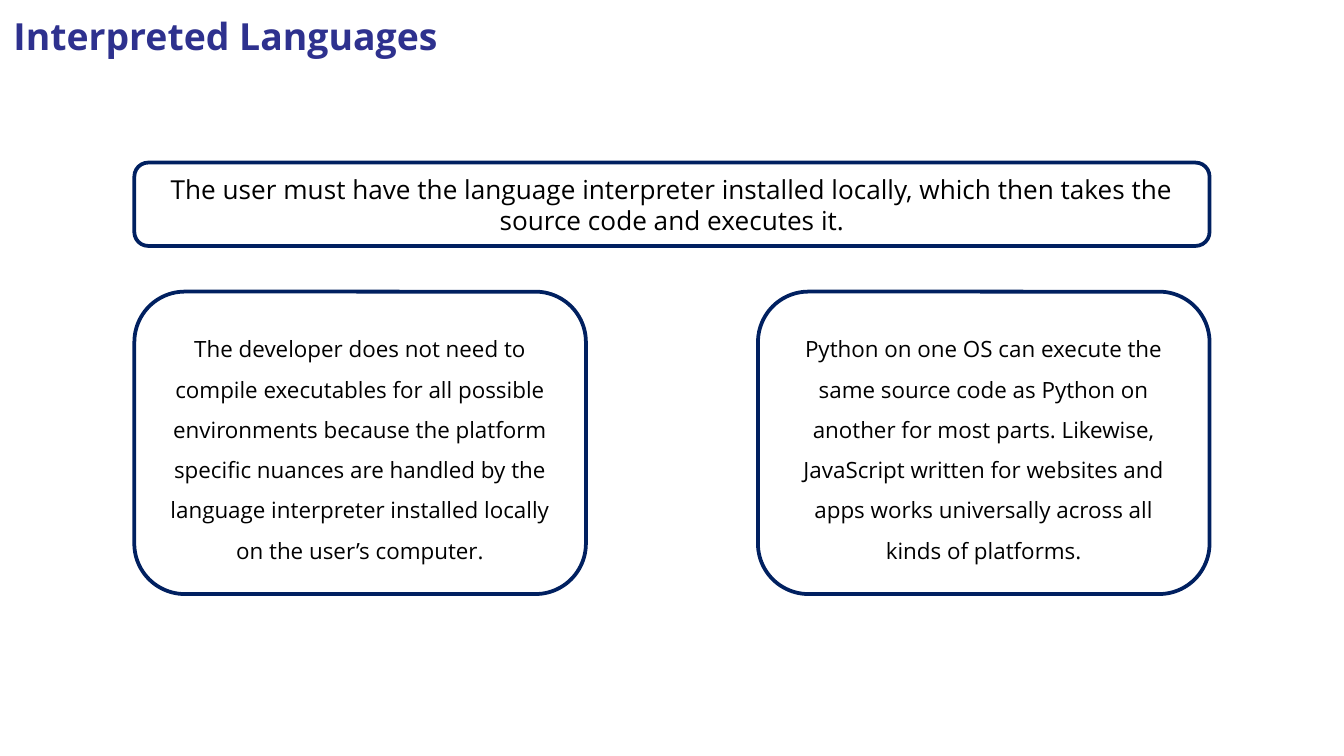
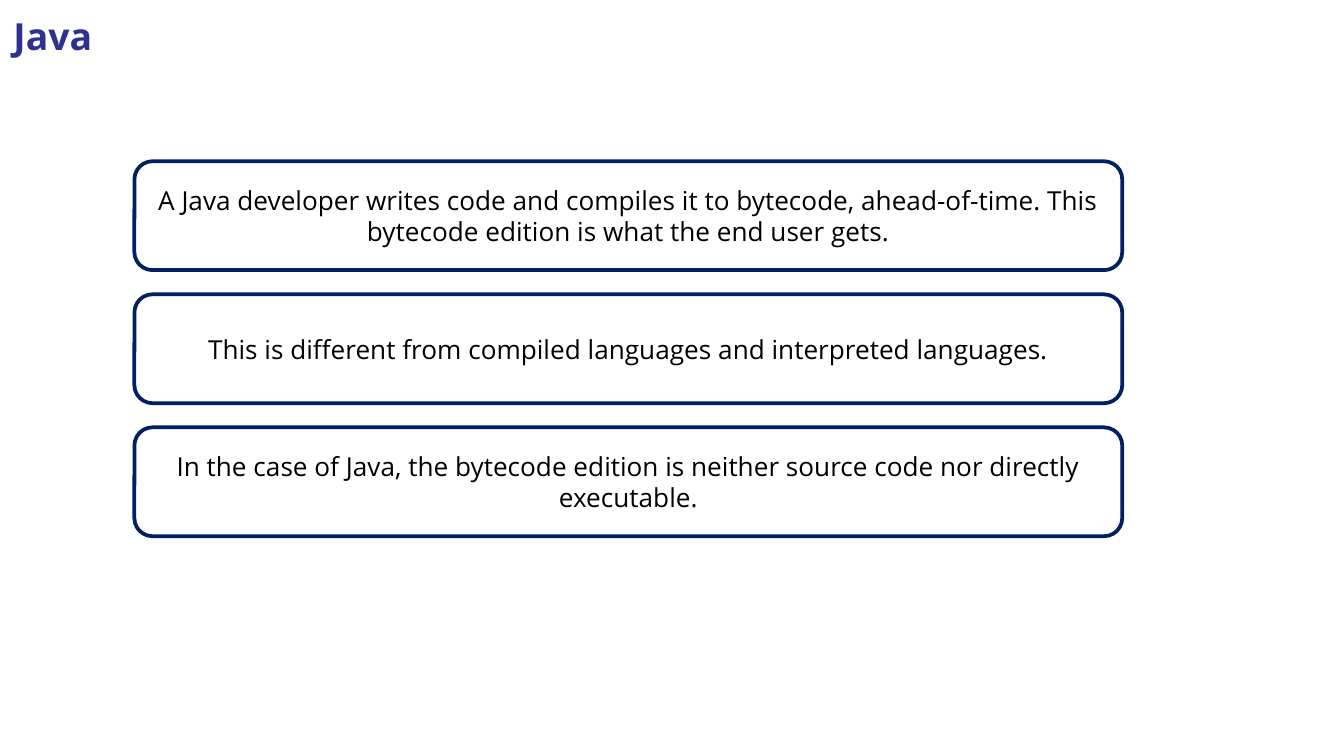
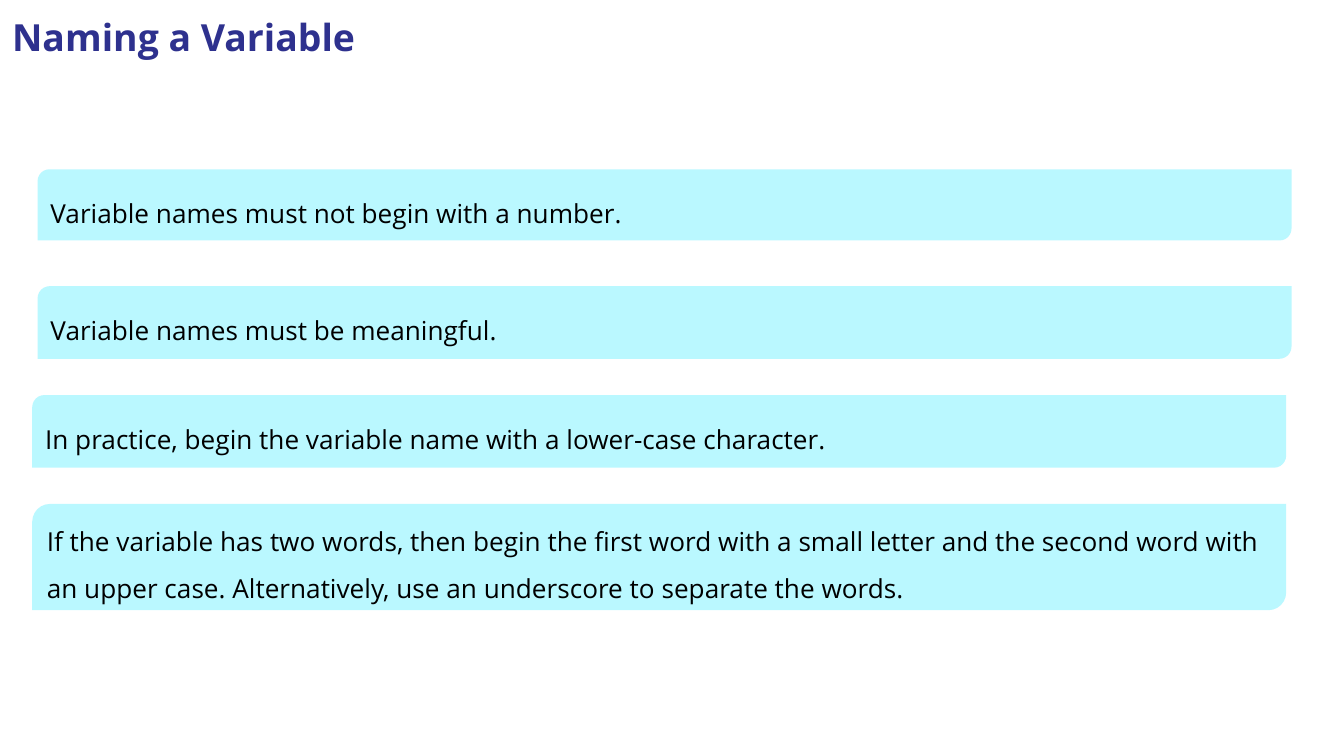
from pptx import Presentation
from pptx.dml.color import RGBColor
from pptx.enum.shapes import MSO_SHAPE
from pptx.enum.text import MSO_ANCHOR, MSO_AUTO_SIZE, PP_ALIGN
from pptx.util import Inches, Pt

FONT = "Open Sans"
TITLE_COLOUR = "2E318E"
OUTLINE = "002060"
BAND_FILL = "BAF8FF"
BLACK = "000000"
TITLE_ONLY = 5

INTERPRETER_RULE = (
    "The user must have the language interpreter installed locally, "
    "which then takes the source code and executes it."
)
INTERPRETER_BENEFITS = [
    "The developer does not need to compile executables for all possible environments "
    "because the platform specific nuances are handled by the language interpreter "
    "installed locally on the user’s computer.",
    "Python on one OS can execute the same source code as Python on another for most parts. "
    "Likewise, JavaScript written for websites and apps works universally across all kinds "
    "of platforms.",
]
JAVA_FACTS = [
    "A Java developer writes code and compiles it to bytecode, ahead-of-time. "
    "This bytecode edition is what the end user gets.",
    "This is different from compiled languages and interpreted languages.",
    "In the case of Java, the bytecode edition is neither source code nor directly executable.",
]
# Text with the left, top and height of its band
NAMING_RULES = [
    ("Variable names must not begin with a number.", 0.28, 1.26, 0.53),
    ("Variable names must be meaningful.", 0.28, 2.13, 0.54),
    ("In practice, begin the variable name with a lower-case character.", 0.24, 2.94, 0.54),
    ("If the variable has two words, then begin the first word with a small letter and the "
     "second word with an upper case. Alternatively, use an underscore to separate the words.",
     0.24, 3.75, 0.79),
]


def colour(value):
    return RGBColor.from_string(value)


def set_insets(frame, sides, top, bottom):
    frame.margin_left = frame.margin_right = Inches(sides)
    frame.margin_top, frame.margin_bottom = Inches(top), Inches(bottom)


def write(frame, text, size, text_colour, align, spacing=1.0, bold=False):
    frame.text = text
    frame.word_wrap = True
    frame.vertical_anchor = MSO_ANCHOR.MIDDLE
    paragraph = frame.paragraphs[0]
    paragraph.alignment = align
    paragraph.line_spacing = spacing
    for span in paragraph.runs:
        span.font.name = FONT
        span.font.size = Pt(size)
        span.font.bold = bold
        span.font.color.rgb = colour(text_colour)


def add_page(deck, title, left=0, width=8, height=0.5):
    page = deck.slides.add_slide(deck.slide_layouts[TITLE_ONLY])
    box = page.shapes.title
    box.left, box.top, box.width, box.height = map(Inches, (left, 0, width, height))
    set_insets(box.text_frame, 0.1, 0.1, 0.07)
    box.text_frame.auto_size = MSO_AUTO_SIZE.NONE
    write(box.text_frame, title, 20, TITLE_COLOUR, PP_ALIGN.LEFT, bold=True)
    return page


def add_box(page, preset, left, top, width, height):
    box = page.shapes.add_shape(preset, *map(Inches, (left, top, width, height)))
    box.shadow.inherit = False
    return box


def add_card(page, text, left, top, width, height, size=14, spacing=1.0):
    """Add an outlined rounded box with centred text."""
    card = add_box(page, MSO_SHAPE.ROUNDED_RECTANGLE, left, top, width, height)
    card.fill.background()
    card.line.color.rgb = colour(OUTLINE)
    card.line.width = Pt(2)
    write(card.text_frame, text, size, BLACK, PP_ALIGN.CENTER, spacing)


def add_band(page, text, left, top, height):
    """Add a filled band, rounded at two opposite corners."""
    band = add_box(page, MSO_SHAPE.ROUND_2_DIAG_RECTANGLE, left, top, 9.33, height)
    band.fill.solid()
    band.fill.fore_color.rgb = colour(BAND_FILL)
    band.line.fill.background()
    set_insets(band.text_frame, 0.07, 0.04, 0.04)
    write(band.text_frame, text, 14, BLACK, PP_ALIGN.LEFT, spacing=1.5)


def build_interpreted(deck):
    page = add_page(deck, "Interpreted Languages")
    left, width, card_width = 1, 8, 3.36
    add_card(page, INTERPRETER_RULE, left, 1.21, width, 0.62)
    for index, text in enumerate(INTERPRETER_BENEFITS):
        card_left = left + index * (width - card_width)
        add_card(page, text, card_left, 2.17, card_width, 2.25, size=12, spacing=1.5)


def build_java(deck):
    page = add_page(deck, "Java")
    for index, text in enumerate(JAVA_FACTS):
        add_card(page, text, 1, 1.2 + index * 0.99, 7.35, 0.81)


def build_naming(deck):
    page = add_page(deck, "Naming a Variable", left=-0.01, width=7.91, height=0.51)
    for text, left, top, height in NAMING_RULES:
        add_band(page, text, left, top, height)


def main():
    deck = Presentation()
    deck.slide_width = Inches(10)
    deck.slide_height = deck.slide_width * 9 // 16
    build_interpreted(deck)
    build_java(deck)
    build_naming(deck)
    deck.save("out.pptx")


if __name__ == "__main__":
    main()
